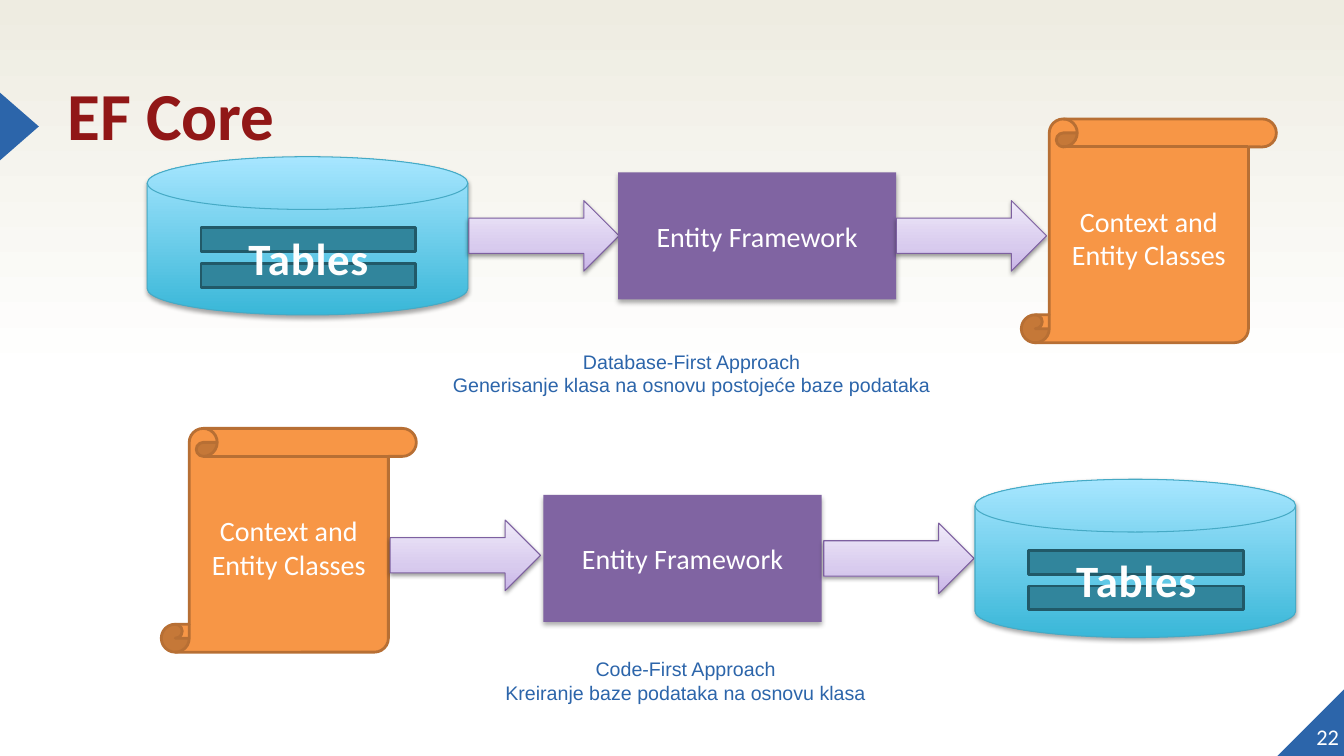
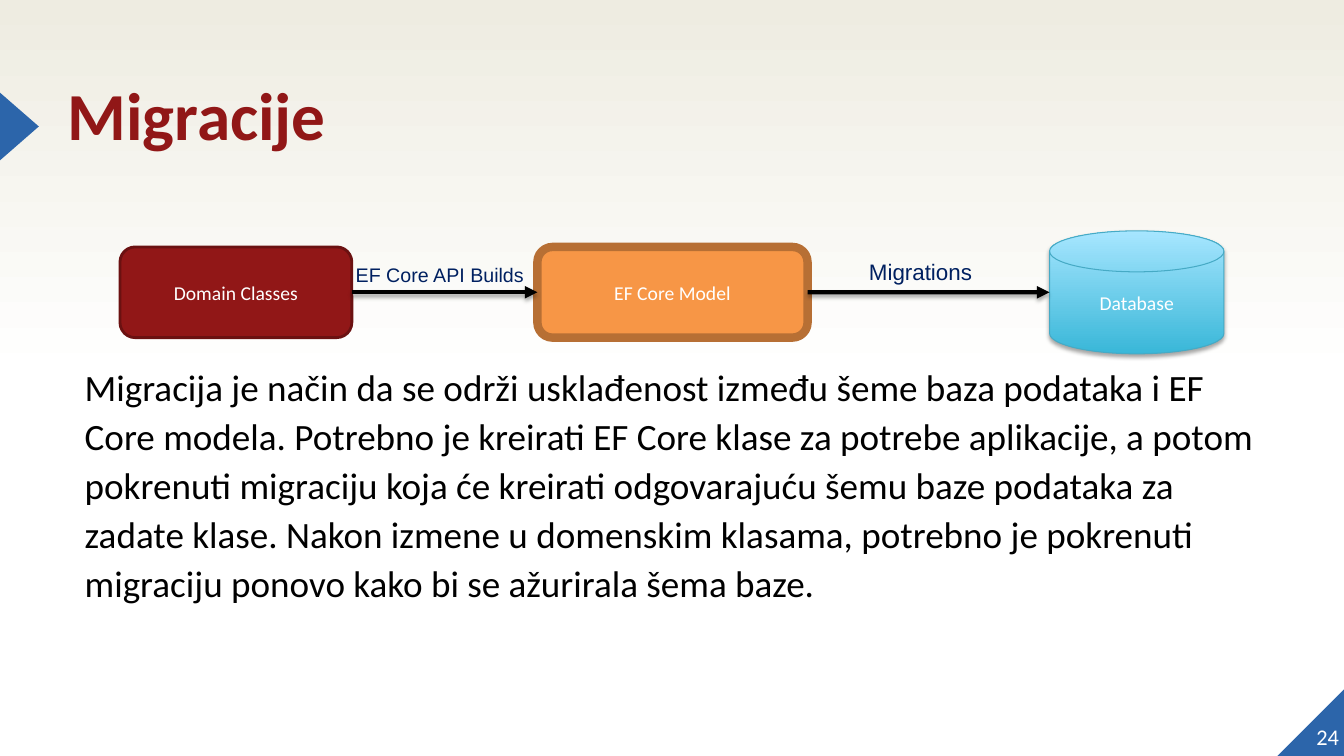
import pptx
import pptx.util
import pptx.dml.color
import pptx.enum.shapes
import pptx.enum.text
import pptx.oxml.ns
import lxml.etree

Inches, Pt = pptx.util.Inches, pptx.util.Pt
SHAPE = pptx.enum.shapes.MSO_SHAPE
ALIGN = pptx.enum.text.PP_ALIGN
ANCHOR = pptx.enum.text.MSO_ANCHOR
qn = pptx.oxml.ns.qn

# Shared palette
BLUE, RED, ORANGE, PURPLE = "2C65AA", "911717", "F79646", "8064A2"
NAVY, WHITE, BLACK, BROWN = "002060", "FFFFFF", "000000", "B76F34"
PAPER = [(0, WHITE), (50, WHITE), (100, "EEECE1")]
AQUA = [(0, "39B7D8"), (100, "A7E6FF")]
LILAC = [(0, "C9B5E8"), (35, "D8CBEE"), (100, "F0EAF9")]

# Shadows: opacity in percent, blur and distance in points
SOFT, ARROW_SHADOW, BOX_SHADOW = (35, 3.1, 1.8), (38, 3.1, 1.6), (32, 3.5, 2.2)


def rgb(value):
    return pptx.dml.color.RGBColor.from_string(value)


def sub(parent, tag, **attributes):
    return lxml.etree.SubElement(
        parent, qn(tag), {key: str(value) for key, value in attributes.items()})


def gradient(fill, owner, stops):
    """Fill from bottom to top with the given (percent, colour) stops."""
    fill.gradient()
    fill.gradient_angle = 90
    stop_list = owner.find(".//" + qn("a:gsLst"))
    for stop in list(stop_list):
        stop_list.remove(stop)
    for percent, color in stops:
        stop = sub(stop_list, "a:gs", pos=percent * 1000)
        sub(stop, "a:srgbClr", val=color)


def drop_shadow(effects, opacity, blur, distance):
    outer = sub(effects, "a:outerShdw", blurRad=int(Pt(blur)), dist=int(Pt(distance)),
                dir=5400000, algn="ctr", rotWithShape=0)
    sub(sub(outer, "a:srgbClr", val=BLACK), "a:alpha", val=opacity * 1000)


def write(shape, text, size, color, font="Calibri", align=ALIGN.CENTER,
          anchor=ANCHOR.MIDDLE, bold=False, inset=None):
    frame = shape.text_frame
    frame.text = text
    frame.word_wrap = True
    frame.vertical_anchor = anchor
    if inset is not None:
        frame.margin_left = frame.margin_right = Inches(inset)
        frame.margin_top = frame.margin_bottom = Inches(inset)
    for paragraph in frame.paragraphs:
        paragraph.alignment = align
        for run in paragraph.runs:
            run.font.name, run.font.size, run.font.bold = font, Pt(size), bold
            run.font.color.rgb = rgb(color)
    return frame


def label(slide, box, text, size, color, **style):
    text_box = slide.shapes.add_textbox(*map(Inches, box))
    style.setdefault("anchor", ANCHOR.TOP)
    return write(text_box, text, size, color, **style)


def block(slide, kind, box, fill, line=None, shadow=None):
    """Preset shape; fill is a colour or gradient stops, line is (colour, points)."""
    shape = slide.shapes.add_shape(kind, *map(Inches, box))
    if isinstance(fill, str):
        shape.fill.solid()
        shape.fill.fore_color.rgb = rgb(fill)
    else:
        gradient(shape.fill, shape.element, fill)
    if line:
        shape.line.color.rgb = rgb(line[0])
        shape.line.width = Pt(line[1])
    else:
        shape.line.fill.background()
    shape.shadow.inherit = False
    if shadow:
        drop_shadow(shape.element.find(".//" + qn("a:effectLst")), *shadow)
    return shape


# What every slide shares
def themed_slide(deck, title, number):
    slide = deck.slides.add_slide(deck.slide_layouts[6])
    gradient(slide.background.fill, slide.element, PAPER)
    corner = block(slide, SHAPE.RIGHT_TRIANGLE, (12.67, 6.82, 0.68, 0.68), BLUE)
    corner.element.find(".//" + qn("a:xfrm")).set("flipH", "1")
    pointer = block(slide, SHAPE.ISOSCELES_TRIANGLE, (-0.15, 1.06, 0.68, 0.39), BLUE)
    pointer.rotation = 90
    heading = label(slide, (0.67, 0.88, 8.23, 1.04), title, 48, RED,
                    align=ALIGN.LEFT, bold=True, inset=0)
    heading.paragraphs[0].line_spacing = 0.8
    label(slide, (12.61, 6.76, 0.67, 0.68), number, 16, WHITE,
          align=ALIGN.RIGHT, anchor=ANCHOR.BOTTOM, inset=0)
    return slide


# Parts of the approach diagrams, each placed by its left edge and middle line
def database(slide, box):
    return block(slide, SHAPE.FLOWCHART_MAGNETIC_DISK, box, AQUA, ("46AAC5", 0.75), SOFT)


def tables(slide, left, middle):
    top = middle - 0.785
    database(slide, (left, top, 3.18, 1.57))
    rows = block(slide, SHAPE.MATH_EQUAL, (left + 0.15, top + 0.5, 2.9, 1),
                 "31859C", ("215968", 2))
    frame = write(rows, "Tables", 32, "FEFEFE", bold=True)
    # Outlined lettering with a light shadow
    lettering = frame.paragraphs[0].runs[0].font
    properties = frame.paragraphs[0].runs[0]._r.get_or_add_rPr()
    properties.set("spc", "50")
    effects = lxml.etree.Element(qn("a:effectLst"))
    drop_shadow(effects, 40, 3, 2)
    properties.find(qn("a:solidFill")).addnext(effects)
    outline = lxml.etree.Element(qn("a:ln"), {"w": str(int(Pt(0.75)))})
    sub(sub(outline, "a:solidFill"), "a:srgbClr", val=BLUE)
    properties.insert(0, outline)
    lettering.italic = False


def flow_arrow(slide, left, middle):
    block(slide, SHAPE.RIGHT_ARROW, (left, middle - 0.35, 1.49, 0.7),
          LILAC, ("7D60A0", 0.75), ARROW_SHADOW)


def framework(slide, left, middle):
    box = block(slide, SHAPE.RECTANGLE, (left, middle - 0.63, 2.76, 1.26),
                PURPLE, shadow=BOX_SHADOW)
    write(box, "Entity Framework", 20, WHITE)


def classes(slide, left, middle):
    scroll = block(slide, SHAPE.VERTICAL_SCROLL, (left, middle - 1.11, 2.53, 2.22),
                   ORANGE, (BROWN, 2))
    write(scroll, "Context and Entity Classes", 20, WHITE)


def approach(slide, left, middle, steps, caption, caption_at):
    """Row of steps, each (part, offset right, offset down), over a caption."""
    for part, right, down in steps:
        part(slide, left + right, middle + down)
    label(slide, (left + caption_at[0], middle + caption_at[1], 6.12, 0.71),
          caption, 14, BLUE, font="Arial")


def approaches_slide(deck):
    slide = themed_slide(deck, "EF Core", "22")
    approach(slide, 1.46, 2.34,
             [(tables, 0, 0), (flow_arrow, 3.19, 0), (framework, 4.67, 0),
              (flow_arrow, 7.43, 0), (classes, 8.67, -0.05)],
             "Database-First Approach\nGenerisanje klasa na osnovu postojeće baze podataka",
             (2.34, 1.08))
    approach(slide, 1.6, 5.54,
             [(classes, 0, -0.18), (flow_arrow, 2.27, -0.03), (framework, 3.79, 0),
              (flow_arrow, 6.57, 0), (tables, 8.07, 0)],
             "Code-First Approach\nKreiranje baze podataka na osnovu klasa",
             (2.14, 0.93))


# Migration pipeline
def link(slide, start, end):
    connector = slide.shapes.add_connector(
        pptx.enum.shapes.MSO_CONNECTOR.STRAIGHT, *map(Inches, start + end))
    connector.line.color.rgb = rgb(BLACK)
    connector.line.width = Pt(3)
    sub(connector.line._get_or_add_ln(), "a:tailEnd", type="triangle")
    drop_shadow(sub(connector.element.spPr, "a:effectLst"), *SOFT)
    return connector


def pipeline(slide, left, middle):
    top = middle - 0.45
    domain = block(slide, SHAPE.ROUNDED_RECTANGLE, (left, top, 2.3, 0.9),
                   RED, ("6B1111", 2))
    model = block(slide, SHAPE.ROUNDED_RECTANGLE, (left + 4.14, top, 2.68, 0.9),
                  ORANGE, (BROWN, 6))
    store = database(slide, (left + 9.22, middle - 0.61, 1.73, 1.22))
    for shape, name in ((domain, "Domain Classes"), (model, "EF Core Model"),
                        (store, "Database")):
        write(shape, name, 14, WHITE)
    builds = link(slide, (left + 2.3, middle), (left + 4.14, middle))
    builds.begin_connect(domain, 3)
    builds.end_connect(model, 1)
    migrates = link(slide, (left + 6.82, middle), (left + 9.22, middle))
    migrates.begin_connect(model, 3)
    label(slide, (left + 2.24, middle - 0.34, 2.19, 0.34), "EF Core API Builds",
          14, NAVY, font="Arial", align=ALIGN.LEFT)
    label(slide, (left + 7.33, middle - 0.39, 1.32, 0.37), "Migrations",
          16, NAVY, font="Arial", align=ALIGN.LEFT)


def migrations_slide(deck):
    slide = themed_slide(deck, "Migracije", "24")
    body = label(
        slide, (0.67, 3.57, 11.8, 3.4),
        "Migracija je način da se održi usklađenost između šeme baza podataka i EF Core "
        "modela. Potrebno je kreirati EF Core klase za potrebe aplikacije, a potom "
        "pokrenuti migraciju koja će kreirati odgovarajuću šemu baze podataka za zadate "
        "klase. Nakon izmene u domenskim klasama, potrebno je pokrenuti migraciju ponovo "
        "kako bi se ažurirala šema baze.",
        26.5, BLACK, align=ALIGN.LEFT, inset=0)
    explanation = body.paragraphs[0]
    explanation.line_spacing = 1.1
    explanation.space_before = Pt(8)
    explanation._p.get_or_add_pPr().set("marL", str(int(Inches(0.17))))
    pipeline(slide, 1.19, 2.9)


def main():
    deck = pptx.Presentation()
    deck.slide_width, deck.slide_height = Inches(13.33), Inches(7.5)
    approaches_slide(deck)
    migrations_slide(deck)
    deck.save("out.pptx")


if __name__ == "__main__":
    main()
